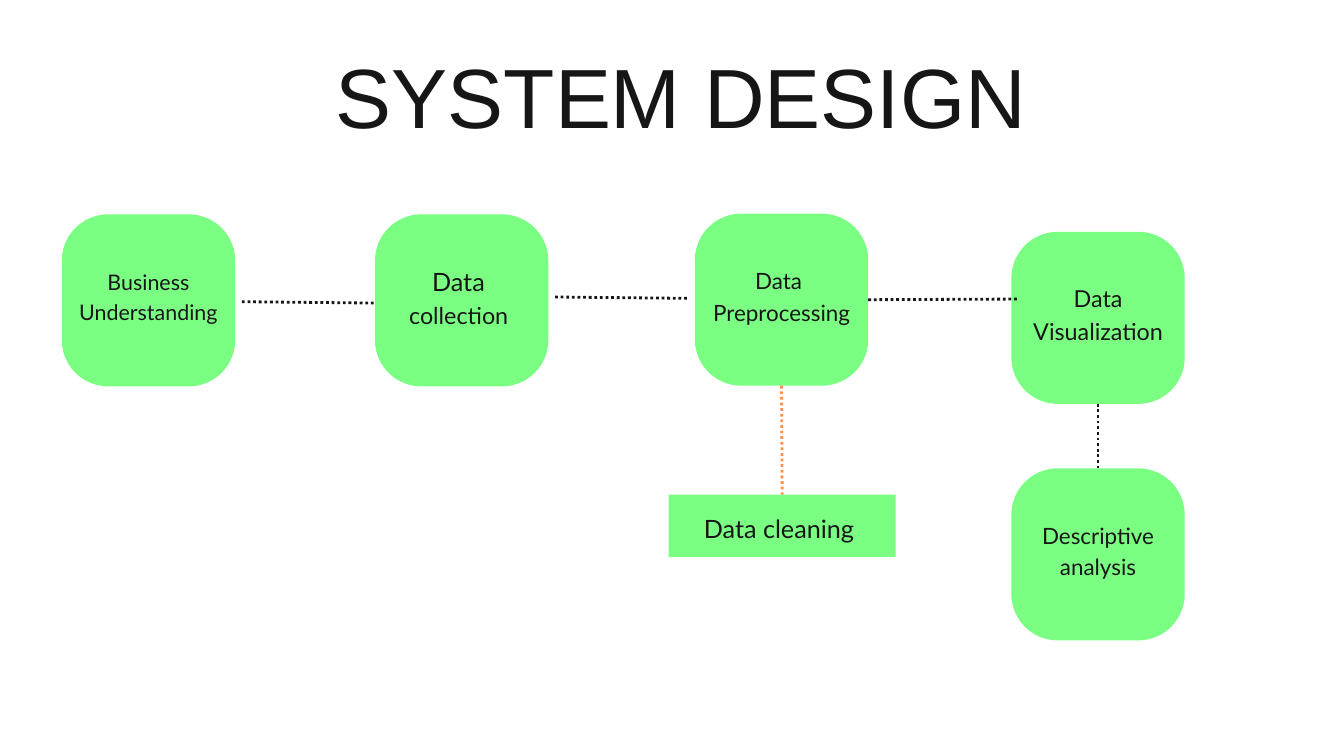
from dataclasses import dataclass

from lxml import etree
from pptx import Presentation
from pptx import util as u
from pptx.dml.color import RGBColor
from pptx.enum import dml, shapes, text
from pptx.oxml.ns import qn


@dataclass(frozen=True)
class Theme:
    ink: RGBColor = RGBColor(0x17, 0x16, 0x16)
    green: RGBColor = RGBColor(0x7A, 0xFF, 0x82)
    orange: RGBColor = RGBColor(0xFF, 0x91, 0x4D)
    title_font: str = "Arial"
    label_font: str = "Lato"
    title_size: int = 90
    cleaning_size: int = 27
    title_spacing: float = 1.2
    label_spacing: float = 1.4
    line_width: float = 3


THEME = Theme()
STEP_WIDTH, STEP_HEIGHT = 2.58, 2.56
STEP_ROUNDING = 0.27
TEXT_LIFT = 0.16
TOP, BOTTOM, RIGHT = 0, 2, 3


def write_lines(frame, lines, font_name, spacing, align):
    """Fill a frame with (wording, size) paragraphs."""
    frame.word_wrap = True
    frame.margin_left = frame.margin_right = frame.margin_top = 0
    for index, (wording, size) in enumerate(lines):
        line = frame.add_paragraph() if index else frame.paragraphs[0]
        line.text = wording
        line.alignment = align
        line.line_spacing = u.Pt(round(size * spacing, 1))
        line.font.name = font_name
        line.font.size = u.Pt(size)
        line.font.color.rgb = THEME.ink


def add_title(slide, wording):
    title = slide.shapes.add_textbox(u.Inches(5), u.Inches(0.66), u.Inches(10.46), u.Inches(1.51))
    title.text_frame.margin_bottom = 0
    write_lines(title.text_frame, [(wording, THEME.title_size)], THEME.title_font,
                THEME.title_spacing, text.PP_ALIGN.LEFT)


def add_box(slide, preset, left, top, width, height, lines, lift=0):
    """Add a green box; lift raises the label above the middle."""
    box = slide.shapes.add_shape(preset, u.Inches(left), u.Inches(top),
                                 u.Inches(width), u.Inches(height))
    box.shadow.inherit = False
    box.fill.solid()
    box.fill.fore_color.rgb = THEME.green
    box.line.fill.background()
    frame = box.text_frame
    frame.vertical_anchor = text.MSO_ANCHOR.MIDDLE
    frame.margin_bottom = u.Inches(lift)
    write_lines(frame, lines, THEME.label_font, THEME.label_spacing, text.PP_ALIGN.CENTER)
    return box


def add_step(slide, left, top, lines):
    step = add_box(slide, shapes.MSO_SHAPE.ROUNDED_RECTANGLE, left, top,
                   STEP_WIDTH, STEP_HEIGHT, lines, TEXT_LIFT)
    step.adjustments[0] = STEP_ROUNDING
    return step


def add_link(slide, start=(0, 0), end=(0, 0), color=THEME.ink, begin_at=None, end_at=None):
    """Add a dotted link between points, or joined to (box, side)."""
    link = slide.shapes.add_connector(shapes.MSO_CONNECTOR.STRAIGHT,
                                      *(u.Inches(value) for value in (*start, *end)))
    if begin_at:
        link.begin_connect(*begin_at)
    if end_at:
        link.end_connect(*end_at)
    link.line.color.rgb = color
    link.line.width = u.Pt(THEME.line_width)
    link.line.dash_style = dml.MSO_LINE.ROUND_DOT
    etree.SubElement(link._element.spPr, qn("a:effectLst"))


def main():
    deck = Presentation()
    deck.slide_width, deck.slide_height = u.Inches(20), u.Inches(11.25)
    slide = deck.slides.add_slide(deck.slide_layouts[6])

    add_title(slide, "SYSTEM DESIGN")

    # Process steps
    add_step(slide, 0.92, 3.19, [("Business", 23), ("Understanding", 23)])
    add_step(slide, 5.58, 3.19, [("Data ", 27), ("collection ", 25)])
    preprocessing = add_step(slide, 10.34, 3.18, [("Data ", 24), ("Preprocessing", 24)])
    visualization = add_step(slide, 15.05, 3.45, [("Data Visualization", 25)])
    analysis = add_step(slide, 15.05, 6.97, [("Descriptive analysis", 24)])
    cleaning = add_box(slide, shapes.MSO_SHAPE.RECTANGLE, 9.95, 7.36, 3.38, 0.93,
                       [("Data cleaning ", THEME.cleaning_size)])

    # Links along the row
    add_link(slide, (3.6, 4.49), (5.58, 4.51))
    add_link(slide, (8.26, 4.42), (10.25, 4.44))
    add_link(slide, end=(15.16, 4.45), begin_at=(preprocessing, RIGHT))

    # Links down to the lower boxes
    add_link(slide, begin_at=(visualization, BOTTOM), end_at=(analysis, TOP))
    add_link(slide, color=THEME.orange, begin_at=(preprocessing, BOTTOM), end_at=(cleaning, TOP))

    deck.save("out.pptx")


if __name__ == "__main__":
    main()
